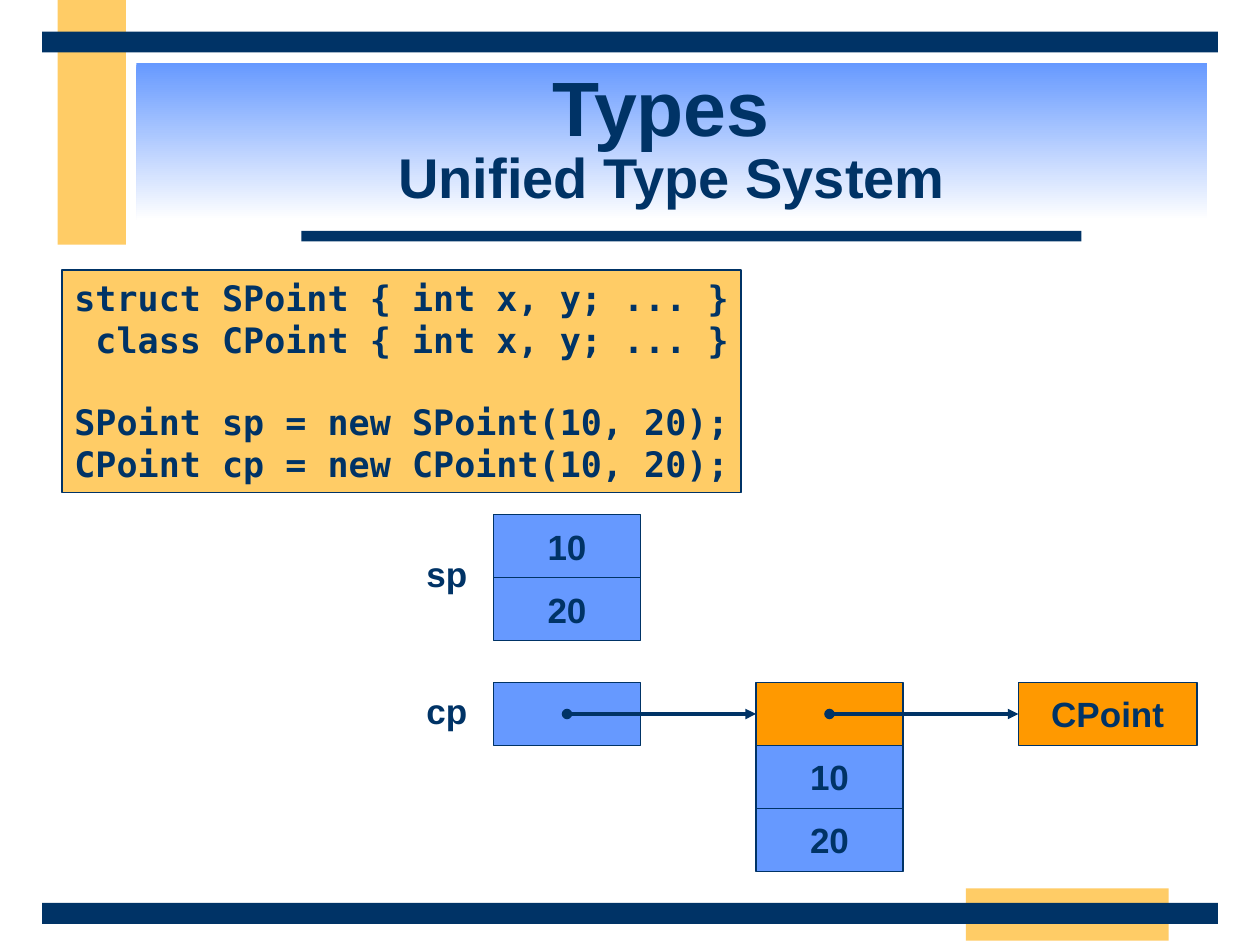
from lxml import etree
from pptx import Presentation, util as u
from pptx.dml.color import RGBColor
from pptx.enum import shapes, text
from pptx.oxml.ns import qn

NAVY, BLUE, ORANGE, SAND, WHITE = "003366", "6699FF", "FF9900", "FFCC66", "FFFFFF"

presentation = Presentation()
presentation.slide_width = u.Inches(10)
presentation.slide_height = u.Inches(7.5)
slide = presentation.slides.add_slide(presentation.slide_layouts[6])
unit = presentation.slide_width / 120  # grid of 120 columns by 90 rows
CELL_WIDTH, CELL_HEIGHT = 14, 6


def add_box(left, top, width, height, fill=None, outlined=False):
    shape = slide.shapes.add_shape(
        shapes.MSO_SHAPE.RECTANGLE,
        *(round(n * unit) for n in (left, top, width, height)))
    shape.shadow.inherit = False
    if fill:
        shape.fill.solid()
        shape.fill.fore_color.rgb = RGBColor.from_string(fill)
    else:
        shape.fill.background()
    if outlined:
        shape.line.color.rgb = RGBColor.from_string(NAVY)
        shape.line.width = u.Pt(1)
    else:
        shape.line.fill.background()
    return shape


def write(shape, content, size=20, font="Arial", align=text.PP_ALIGN.CENTER, wrap=False):
    frame = shape.text_frame
    frame.word_wrap = wrap
    frame.vertical_anchor = text.MSO_ANCHOR.MIDDLE
    frame.text = content
    for paragraph in frame.paragraphs:
        paragraph.alignment = align
        paragraph.font.size = u.Pt(size)
        paragraph.font.name = font
        paragraph.font.bold = True
        paragraph.font.color.rgb = RGBColor.from_string(NAVY)
    return frame


# Decorative blocks and bars
for left, top, width, height, fill in (
    (5.5, 0, 6.5, 23.3, SAND),
    (92, 84.6, 19.3, 5, SAND),
    (28.7, 22, 74.3, 1, NAVY),
    (4, 86, 112, 2, NAVY),
    (4, 3, 112, 2, NAVY),
):
    add_box(left, top, width, height, fill)

# Title on a gradient that fades downwards
title = add_box(13, 6, 102, 15)
title.fill.gradient()
title.fill.gradient_angle = 270
for stop, position, color in zip(title.fill.gradient_stops, (0, 1), (BLUE, WHITE)):
    stop.position = position
    stop.color.rgb = RGBColor.from_string(color)
heading = write(title, "Types \vUnified Type System", size=44, wrap=True).paragraphs[0]
heading.line_spacing = 0.85
heading.runs[1].font.size = u.Pt(32)

# Code listing, with a one-line gap before the declarations
code = write(
    add_box(5.9, 25.7, 64.7, 21.2, SAND, outlined=True),
    "struct SPoint { int x, y; ... }\n"
    " class CPoint { int x, y; ... }\n"
    "SPoint sp = new SPoint(10, 20);\n"
    "CPoint cp = new CPoint(10, 20);",
    font="DejaVu Sans Mono", align=text.PP_ALIGN.LEFT)
code.vertical_anchor = text.MSO_ANCHOR.TOP
code.auto_size = text.MSO_AUTO_SIZE.SHAPE_TO_FIT_TEXT
code.paragraphs[2].space_before = u.Pt(23.3)

# Variable names
for name, top in (("sp", 52), ("cp", 65)):
    write(add_box(38, top, 7.7, 5.3), name, align=text.PP_ALIGN.RIGHT, wrap=True)

# Memory cells: each stack runs downwards from its top
for left, top, width, cells in (
    (47, 49, CELL_WIDTH, (("10", BLUE), ("20", BLUE))),
    (47, 65, CELL_WIDTH, (("", BLUE),)),
    (72, 65, CELL_WIDTH, (("", ORANGE), ("10", BLUE), ("20", BLUE))),
    (97, 65, 17, (("CPoint", ORANGE),)),
):
    for row, (value, fill) in enumerate(cells):
        cell = add_box(left, top + row * CELL_HEIGHT, width, CELL_HEIGHT, fill, outlined=True)
        if value:
            write(cell, value)

# References, from the middle of a cell to the edge of the next stack
arrow_y = round((65 + CELL_HEIGHT / 2) * unit)
for left in (47, 72):
    arrow = slide.shapes.add_connector(
        shapes.MSO_CONNECTOR.STRAIGHT,
        round((left + CELL_WIDTH / 2) * unit), arrow_y,
        round((left + 25) * unit), arrow_y)
    arrow.line.color.rgb = RGBColor.from_string(NAVY)
    arrow.line.width = u.Pt(2)
    line = arrow.line._get_or_add_ln()
    etree.SubElement(line, qn("a:headEnd"), type="oval")
    etree.SubElement(line, qn("a:tailEnd"), type="triangle")
    etree.SubElement(arrow._element.spPr, qn("a:effectLst"))

presentation.save("out.pptx")
